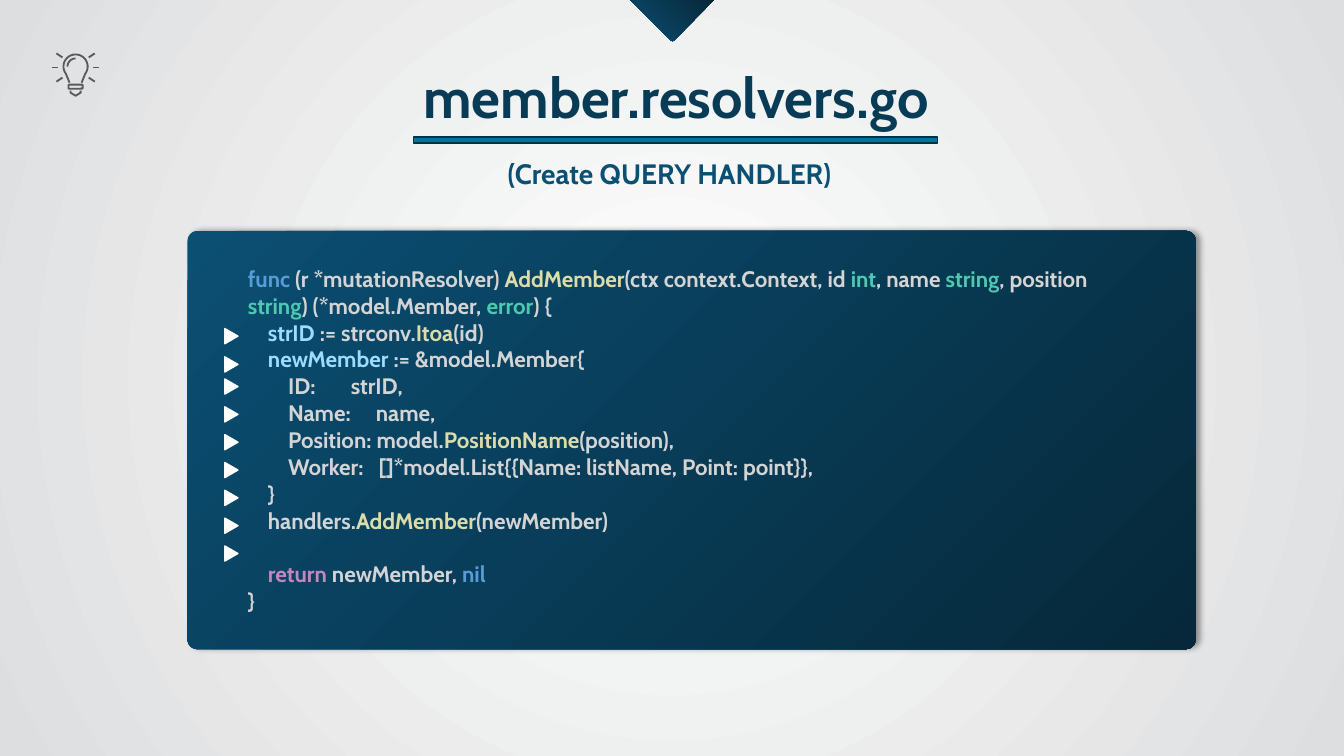
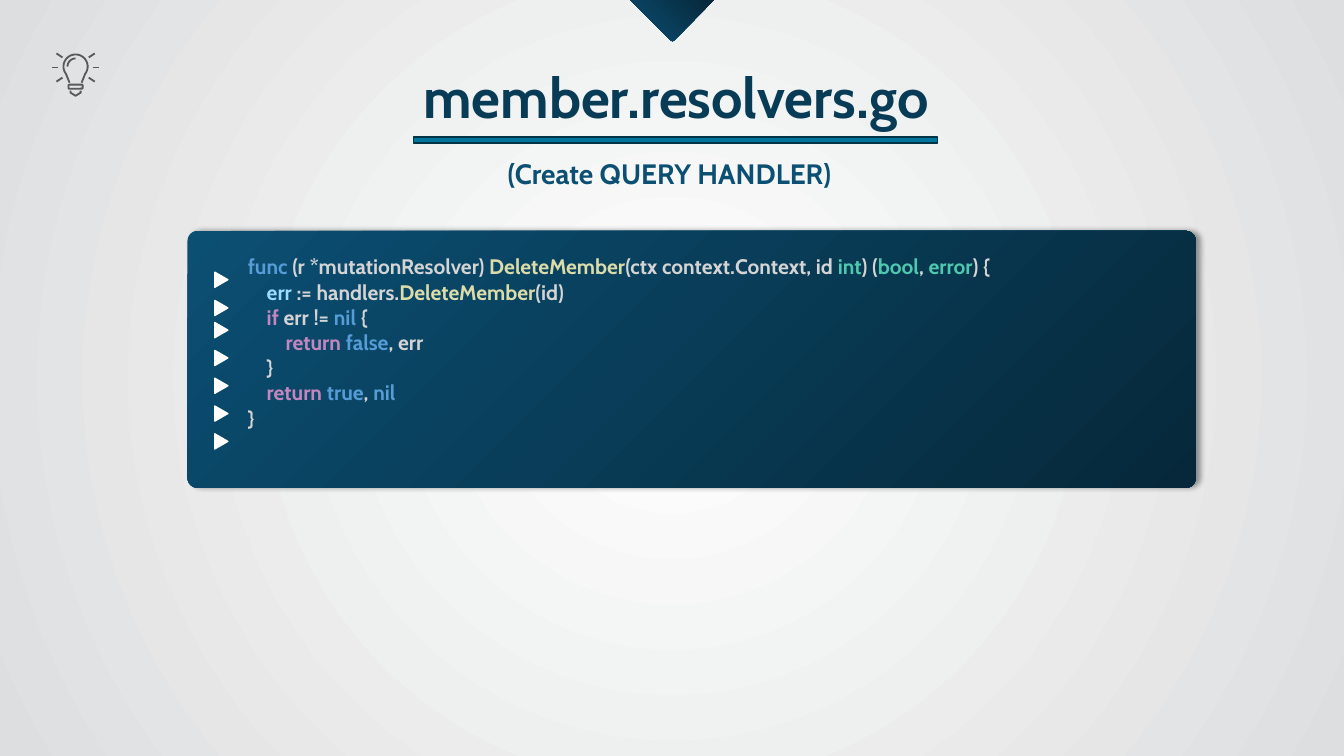
import math

from lxml import etree
from pptx import Presentation
from pptx import util as u
from pptx.dml import color
from pptx.enum import shapes, text
from pptx.oxml import ns

FONT = "Cabin"
NAVY, DEEP, TITLE = "0B4F73", "06283A", "083B56"
BAR, BAR_EDGE, ICON, WHITE, MIST = "00759E", "003345", "595959", "FFFFFF", "DDDEDF"
PLAIN = "D4D4D4"
SYNTAX = {
    "k": "569CD6",
    "f": "DCDCAA",
    "t": "4EC9B0",
    "v": "9CDCFE",
    "c": "C586C0",
}

ADD_MEMBER = [
    "`k:func` (r *mutationResolver) `f:AddMember`(ctx context.Context, id `t:int`, "
    "name `t:string`, position `t:string`) (*model.Member, `t:error`) {",
    "    `v:strID` := strconv.`f:Itoa`(id)",
    "    `v:newMember` := &model.Member{",
    "        ID:       strID,",
    "        Name:     name,",
    "        Position: model.`f:PositionName`(position),",
    "        Worker:   []*model.List{{Name: listName, Point: point}},",
    "    }",
    "    handlers.`f:AddMember`(newMember)",
    "    `c:return` newMember, `k:nil`",
    "}",
]
DELETE_MEMBER = [
    "`k:func` (r *mutationResolver) `f:DeleteMember`(ctx context.Context, id `t:int`) "
    "(`t:bool`, `t:error`) {",
    "    `v:err` := handlers.`f:DeleteMember`(id)",
    "    `c:if` err != `k:nil` {",
    "        `c:return` `k:false`, err",
    "    }",
    "    `c:return` `k:true`, `k:nil`",
    "}",
]


def rgb(value):
    return color.RGBColor.from_string(value)


def arc(cx, cy, radius, start, end, steps=24):
    angles = [math.radians(start + (end - start) * i / steps) for i in range(steps + 1)]
    return [(cx + radius * math.cos(a), cy + radius * math.sin(a)) for a in angles]


class Slides:
    def __init__(self):
        self.deck = Presentation()
        self.deck.slide_width = u.Inches(13.33)
        self.deck.slide_height = u.Inches(7.5)
        self.page = None

    def gradient(self, fill, first, last, angle=0):
        fill.gradient()
        fill.gradient_angle = angle
        for stop, value in zip(fill.gradient_stops, (first, last)):
            stop.color.rgb = rgb(value)

    def new_page(self):
        self.page = self.deck.slides.add_slide(self.deck.slide_layouts[6])
        self.gradient(self.page.background.fill, WHITE, MIST)
        linear = self.page.background._cSld.find(".//" + ns.qn("a:lin"))
        radial = etree.Element(ns.qn("a:path"), path="circle")
        middle = dict.fromkeys("ltrb", "50000")
        etree.SubElement(radial, ns.qn("a:fillToRect"), middle)
        linear.getparent().replace(linear, radial)

    def shape(self, kind, left, top, width, height, fill=None, line=None, weight=1.0):
        shape = self.page.shapes.add_shape(
            kind, u.Inches(left), u.Inches(top), u.Inches(width), u.Inches(height))
        self.paint(shape, fill, line, weight)
        return shape

    def outline(self, points, fill=None, line=None, weight=1.0, close=False):
        corners = [(u.Inches(x), u.Inches(y)) for x, y in points]
        builder = self.page.shapes.build_freeform(*corners[0])
        builder.add_line_segments(corners[1:], close=close)
        shape = builder.convert_to_shape()
        self.paint(shape, fill, line, weight)
        return shape

    def paint(self, shape, fill, line, weight):
        shape.shadow.inherit = False
        if fill:
            shape.fill.solid()
            shape.fill.fore_color.rgb = rgb(fill)
        else:
            shape.fill.background()
        if line:
            shape.line.color.rgb = rgb(line)
            shape.line.width = u.Pt(weight)
        else:
            shape.line.fill.background()

    def stroke(self, x1, y1, x2, y2, value, weight):
        line = self.page.shapes.add_connector(
            shapes.MSO_CONNECTOR.STRAIGHT,
            u.Inches(x1), u.Inches(y1), u.Inches(x2), u.Inches(y2))
        line.line.color.rgb = rgb(value)
        line.line.width = u.Pt(weight)
        etree.SubElement(line._element.spPr, ns.qn("a:effectLst"))

    def text_box(self, left, top, width, height):
        box = self.page.shapes.add_textbox(
            u.Inches(left), u.Inches(top), u.Inches(width), u.Inches(height))
        box.text_frame.word_wrap = True
        box.text_frame.auto_size = text.MSO_AUTO_SIZE.SHAPE_TO_FIT_TEXT
        return box

    def style(self, span, size, value):
        span.font.name = FONT
        span.font.size = u.Pt(size)
        span.font.bold = True
        span.font.color.rgb = rgb(value)

    def heading(self, words, left, top, width, height, size, value):
        para = self.text_box(left, top, width, height).text_frame.paragraphs[0]
        para.text = words
        para.alignment = text.PP_ALIGN.CENTER
        self.style(para.runs[0], size, value)

    def bulb(self):
        weight = 1.3
        glass = [(0.69, 0.82), *arc(0.75, 0.66, 0.12, 142, 398), (0.81, 0.82)]
        cup = [(0.7, 0.9), (0.7, 0.92), (0.75, 0.95), (0.8, 0.92), (0.8, 0.9)]
        for points in (glass, arc(0.75, 0.66, 0.08, 180, 270), cup):
            self.outline(points, line=ICON, weight=weight)
        self.shape(shapes.MSO_SHAPE.ROUNDED_RECTANGLE, 0.68, 0.84, 0.14, 0.04,
                   line=ICON, weight=weight)
        for x1, y1, x2, y2 in ((0.56, 0.81, 0.62, 0.77),
                               (0.52, 0.67, 0.58, 0.67),
                               (0.56, 0.53, 0.62, 0.57)):
            self.stroke(x1, y1, x2, y2, ICON, weight)
            self.stroke(1.5 - x1, y1, 1.5 - x2, y2, ICON, weight)

    def header(self, title, subtitle):
        tab = self.outline([(6.25, 0), (6.65, 0.4), (6.67, 0.41), (6.69, 0.4), (7.08, 0)],
                           close=True)
        self.gradient(tab.fill, NAVY, DEEP, 45)
        self.heading(title, 3.62, 0.57, 6.17, 0.77, 40, TITLE)
        self.bulb()
        self.heading(subtitle, 4.3, 1.5, 4.68, 0.44, 20, NAVY)
        self.shape(shapes.MSO_SHAPE.RECTANGLE, 4.1, 1.36, 5.2, 0.06, BAR, BAR_EDGE)

    def panel(self, height):
        panel = self.shape(shapes.MSO_SHAPE.ROUNDED_RECTANGLE, 1.86, 2.29, 10, height)
        panel.adjustments[0] = 0.1 / height
        self.gradient(panel.fill, NAVY, DEEP, 315)
        effects = panel._element.spPr.find(ns.qn("a:effectLst"))
        shadow = etree.SubElement(
            effects, ns.qn("a:outerShdw"), blurRad=str(u.Pt(4)), dist=str(u.Pt(3)),
            dir="0", algn="l", rotWithShape="0")
        black = etree.SubElement(shadow, ns.qn("a:srgbClr"), val="000000")
        etree.SubElement(black, ns.qn("a:alpha"), val="40000")

    def code(self, lines, top, width, height, size):
        frame = self.text_box(2.36, top, width, height).text_frame
        paras = []
        for index, line in enumerate(lines):
            para = frame.add_paragraph() if index else frame.paragraphs[0]
            paras.append(para)
            for part, words in enumerate(line.split("`")):
                if not words:
                    continue
                value = PLAIN
                if part % 2:
                    key, words = words.split(":", 1)
                    value = SYNTAX[key]
                span = para.add_run()
                span.text = words
                self.style(span, size, value)
        return paras

    def markers(self, left, top, count):
        tops = [top, top + 0.28] + [top + 0.5 + 0.276 * i for i in range(count - 2)]
        for y in tops:
            marker = self.shape(shapes.MSO_SHAPE.ISOSCELES_TRIANGLE,
                                left, y, 0.15, 0.13, WHITE, WHITE)
            marker.rotation = 90


def main():
    slides = Slides()
    title, subtitle = "member.resolvers.go", "(Create QUERY HANDLER)"

    slides.new_page()
    slides.header(title, subtitle)
    slides.panel(4.15)
    paras = slides.code(ADD_MEMBER, 2.58, 9.11, 3.7, 16)
    paras[-2].space_before = u.Pt(19)
    slides.markers(2.22, 3.27, 9)

    slides.new_page()
    slides.header(title, subtitle)
    slides.panel(2.55)
    slides.code(DELETE_MEMBER, 2.47, 9.87, 1.15, 15)
    slides.markers(2.12, 2.71, 7)

    slides.deck.save("out.pptx")


if __name__ == "__main__":
    main()
